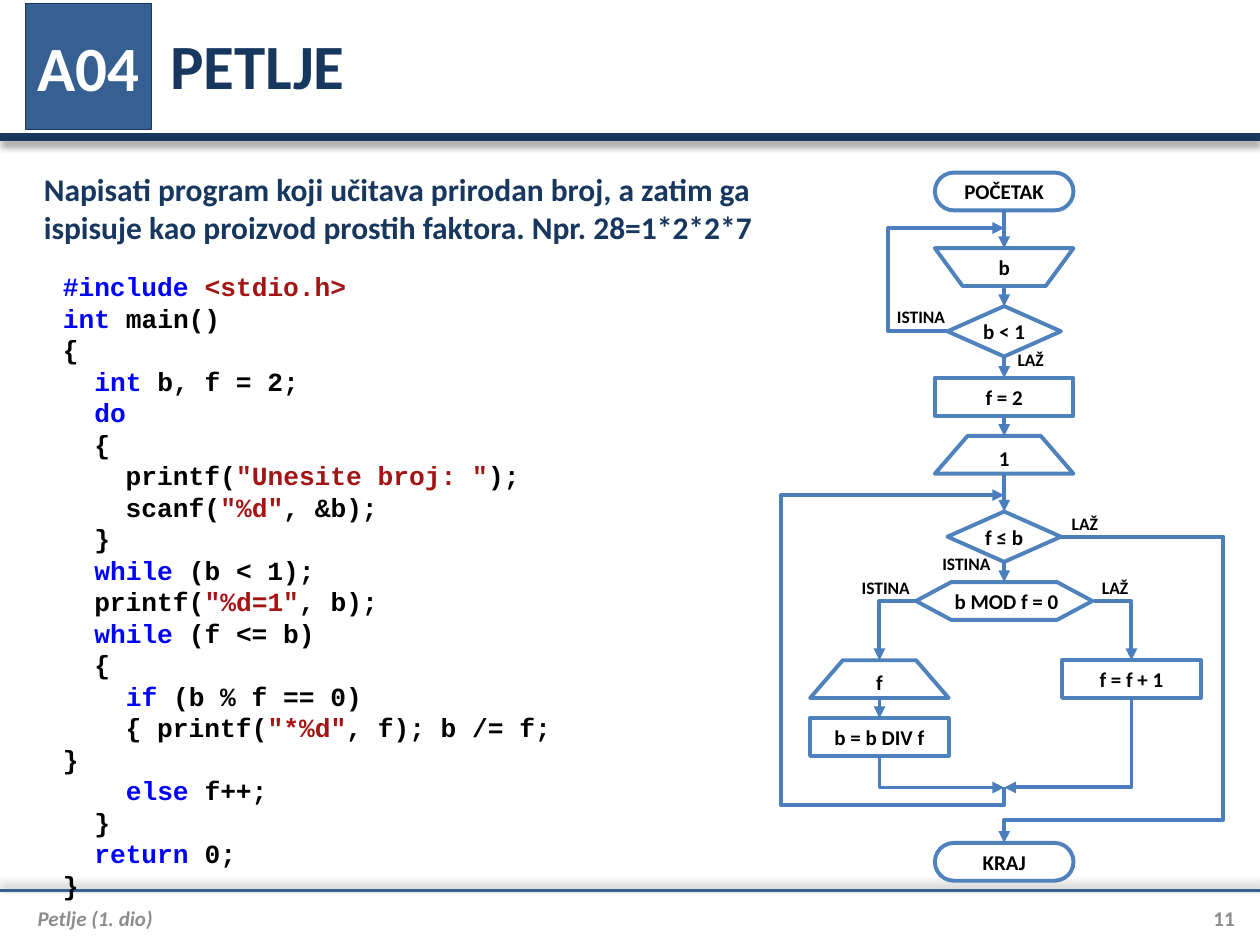
"""Build the loops slide with a C program and its flowchart."""
from lxml import etree
from pptx import Presentation
from pptx import util as u
from pptx.dml.color import RGBColor
from pptx.enum import shapes, text
from pptx.oxml import parse_xml
from pptx.oxml.ns import nsdecls, qn

NAVY, BLUE, EDGE, ARROW = "17375E", "376092", "4F81BD", "4B7EBC"
GRAY, BLACK, WHITE = "8C8C8C", "000000", "FFFFFF"
KEYWORD, LITERAL = "0000FF", "A31515"
KEYWORDS = {"#include", "int", "do", "while", "if", "else", "return"}
LEFT, CENTER, RIGHT = text.PP_ALIGN.LEFT, text.PP_ALIGN.CENTER, text.PP_ALIGN.RIGHT
TOP, MIDDLE = text.MSO_ANCHOR.TOP, text.MSO_ANCHOR.MIDDLE
KIND = shapes.MSO_SHAPE


def paint(fill, color):
    fill.solid()
    fill.fore_color.rgb = RGBColor.from_string(color)


def write(shape, content, size=12, color=BLACK, font="Calibri", align=LEFT, anchor=TOP,
          insets=(0, 0, 0, 0), italic=False, before=0, wrap=True, code=False):
    frame = shape.text_frame
    frame.word_wrap = wrap
    frame.auto_size = text.MSO_AUTO_SIZE.NONE
    frame.vertical_anchor = anchor
    frame.margin_left, frame.margin_top, frame.margin_right, frame.margin_bottom = map(u.Inches, insets)
    for index, row in enumerate(content.split("\n")):
        para = frame.add_paragraph() if index else frame.paragraphs[0]
        para.alignment = align
        para.space_before = u.Pt(before)
        for part in row.split("|") if code else [row]:
            span = para.add_run()
            span.text = part
            span.font.name, span.font.size = font, u.Pt(size)
            span.font.bold, span.font.italic = True, italic
            if code and part in KEYWORDS:
                paint(span.font.fill, KEYWORD)
            elif code and part.startswith(("<", '"')):
                paint(span.font.fill, LITERAL)
            else:
                paint(span.font.fill, color)


deck = Presentation()
deck.slide_width, deck.slide_height = u.Inches(10), u.Inches(7.5)
page = deck.slides.add_slide(deck.slide_layouts[1])
canvas = page.shapes

for y, color, width, direction in [(1.09, NAVY, 4.5, 90), (7.07, BLUE, 1.5, 270)]:
    rule = canvas.add_connector(shapes.MSO_CONNECTOR.STRAIGHT, 0, u.Inches(y), u.Inches(10), u.Inches(y))
    paint(rule.line.fill, color)
    rule.line.width = u.Pt(width)
    rule._element.spPr.append(parse_xml(
        f'<a:effectLst {nsdecls("a")}><a:outerShdw blurRad="{u.Pt(4)}" dist="{u.Pt(3)}" '
        f'dir="{direction * 60000}" rotWithShape="0"><a:srgbClr val="{BLACK}">'
        '<a:alpha val="40000"/></a:srgbClr></a:outerShdw></a:effectLst>'))

title, badge = page.placeholders
for holder, area in [(title, (1.25, 0.01, 8.55, 1)), (badge, (0.2, 0.03, 1, 1))]:
    holder.left, holder.top, holder.width, holder.height = map(u.Inches, area)
write(title, "PETLJE", size=36, color=NAVY, anchor=MIDDLE, insets=(0.1, 0.05, 0.1, 0.05))
paint(badge.fill, BLUE)
paint(badge.line.fill, NAVY)
badge.line.width = u.Pt(0.75)
write(badge, "A04", size=36, color=WHITE, align=CENTER, anchor=MIDDLE, before=7)
properties = badge.text_frame.paragraphs[0]._p.get_or_add_pPr()
properties.set("marL", "0")
properties.set("indent", "0")
etree.SubElement(properties, qn("a:buNone"))

program = """#include| |<stdio.h>
int| main()
{
  |int| b, f = 2;
  |do
  {
    printf(|"Unesite broj: "|);
    scanf(|"%d"|, &b);
  }
  |while| (b < 1);
  printf(|"%d=1"|, b);
  |while| (f <= b)
  {
    |if| (b % f == 0)
    { printf(|"*%d"|, f); b /= f; }
    |else| f++;
  }
  |return| 0;
}"""
task = ("Napisati program koji učitava prirodan broj, a zatim ga ispisuje kao "
        "proizvod prostih faktora. Npr. 28=1*2*2*7")
padding = (0.1, 0.05, 0.1, 0.05)
label = dict(size=10, align=CENTER, before=1)
for area, content, style in [
    ((0.25, 1.3, 6.2, 0.71), task, dict(size=18, color=NAVY, insets=padding)),
    ((0.4, 2.1, 4.18, 4.9), program, dict(size=15, font="Courier New", insets=padding, code=True)),
    ((0.2, 7.11, 9.1, 0.35), "Petlje (1. dio)",
     dict(color=GRAY, italic=True, anchor=MIDDLE, insets=(0.1, 0, 0, 0))),
    ((9.3, 7.11, 0.5, 0.35), "11", dict(color=GRAY, align=RIGHT, anchor=MIDDLE)),
    ((7.06, 2.43, 0.5, 0.17), "ISTINA", label),
    ((7.98, 2.77, 0.4, 0.17), "LAŽ", label),
    ((7.42, 4.39, 0.5, 0.17), "ISTINA", label),
    ((8.41, 4.07, 0.4, 0.17), "LAŽ", label),
    ((6.78, 4.58, 0.5, 0.17), "ISTINA", label),
    ((8.65, 4.58, 0.4, 0.17), "LAŽ", label),
]:
    box = canvas.add_textbox(*map(u.Inches, area))
    write(box, content, **style)

MAIN, YES, NO = 7.97, 6.98, 8.98
sizes = {KIND.DIAMOND: (0.9, 0.4), KIND.FLOWCHART_PREPARATION: (1.4, 0.3)}
corners = {KIND.ROUNDED_RECTANGLE: 0.5, KIND.TRAPEZOID: 0.865}
nodes = {}
for name, kind, content, middle, top in [
    ("start", KIND.ROUNDED_RECTANGLE, "POČETAK", MAIN, 1.37),
    ("input", KIND.FLOWCHART_MANUAL_OPERATION, "b", MAIN, 1.97),
    ("check", KIND.DIAMOND, "b < 1", MAIN, 2.43),
    ("factor", KIND.RECTANGLE, "f = 2", MAIN, 3),
    ("one", KIND.TRAPEZOID, "1", MAIN, 3.46),
    ("loop", KIND.DIAMOND, "f ≤ b", MAIN, 4.06),
    ("divides", KIND.FLOWCHART_PREPARATION, " b MOD f = 0", MAIN, 4.62),
    ("output", KIND.TRAPEZOID, "f", YES, 5.24),
    ("divide", KIND.RECTANGLE, "b = b DIV f", YES, 5.7),
    ("next", KIND.RECTANGLE, "f = f + 1", NO, 5.24),
    ("end", KIND.ROUNDED_RECTANGLE, "KRAJ", MAIN, 6.69),
]:
    width, height = sizes.get(kind, (1.1, 0.3))
    node = canvas.add_shape(kind, *map(u.Inches, (middle - width / 2, top, width, height)))
    if kind in corners:
        node.adjustments[0] = corners[kind]
    node.shadow.inherit = False
    paint(node.fill, WHITE)
    paint(node.line.fill, EDGE)
    node.line.width = u.Pt(2.25)
    write(node, content, align=CENTER, anchor=MIDDLE, wrap=kind != KIND.FLOWCHART_PREPARATION)
    nodes[name] = node

arrows = []
for chain in ["start input check factor one loop divides", "output divide"]:
    names = chain.split()
    for source, target in zip(names, names[1:]):
        arrow = canvas.add_connector(shapes.MSO_CONNECTOR.STRAIGHT, 0, 0, 0, 0)
        arrow.begin_connect(nodes[source], 2)
        arrow.end_connect(nodes[target], 0)
        etree.SubElement(arrow._element.spPr, qn("a:effectLst"))
        arrows.append(arrow)

for route in [
    [(7.52, 2.63), (7.05, 2.63), (7.05, 1.81), (MAIN, 1.81)],
    [(7.28, 4.77), (YES, 4.77), (YES, 5.24)],
    [(8.68, 4.77), (NO, 4.77), (NO, 5.24)],
    [(YES, 6), (YES, 6.25), (MAIN, 6.25)],
    [(NO, 5.54), (NO, 6.25), (MAIN, 6.25)],
    [(MAIN, 6.25), (MAIN, 6.39), (6.2, 6.39), (6.2, 3.93), (MAIN, 3.93)],
    [(8.42, 4.26), (9.71, 4.26), (9.71, 6.51), (MAIN, 6.51), (MAIN, 6.69)],
]:
    points = [(u.Inches(x), u.Inches(y)) for x, y in route]
    outline = canvas.build_freeform(*points[0])
    outline.add_line_segments(points[1:], close=False)
    arrow = outline.convert_to_shape()
    arrow.fill.background()
    arrow.shadow.inherit = False
    arrows.append(arrow)

for arrow in arrows:
    paint(arrow.line.fill, ARROW)
    arrow.line.width = u.Pt(2.25)
    etree.SubElement(arrow._element.spPr.find(qn("a:ln")), qn("a:tailEnd"), type="triangle")

deck.save("out.pptx")
